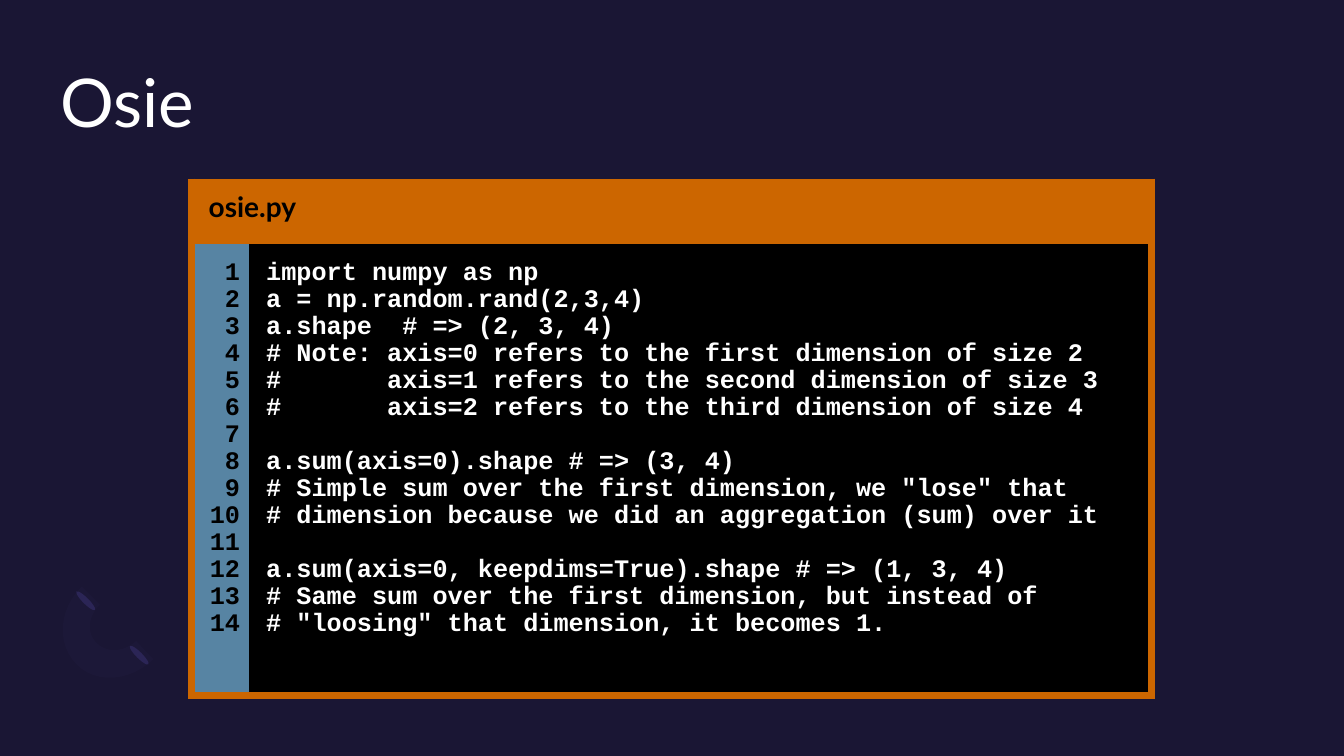
from dataclasses import dataclass
from lxml.etree import SubElement
from pptx import Presentation
from pptx.dml.color import RGBColor
from pptx.enum.shapes import MSO_SHAPE
from pptx.enum.text import MSO_ANCHOR, PP_ALIGN
from pptx.oxml import parse_xml
from pptx.oxml.ns import nsdecls, qn
from pptx.util import Inches, Pt


@dataclass(frozen=True)
class Theme:
    back: str = "1A1634"
    leaf: str = "292353"
    arc: str = "7266BE"
    frame: str = "CC6600"
    gutter: str = "5784A3"
    dark: str = "000000"
    light: str = "FFFFFF"
    sans: str = "Lato"
    mono: str = "Courier New"
    title: int = 48
    label: int = 20
    code: int = 18
    border: int = 6
    lead: float = 0.77
    gap: float = 3.6
    skip: float = 19.3  # height of one line of code


class Page:
    """Places elements on one slide; lengths are percent of its size."""

    def __init__(self, theme):
        self.theme = theme
        self.deck = Presentation()
        self.deck.slide_width = Inches(13.33)
        self.deck.slide_height = Inches(7.5)
        self.slide = self.deck.slides.add_slide(self.deck.slide_layouts[6])
        self.shapes = self.slide.shapes
        self.paint(self.slide.background.fill, theme.back)

    def across(self, share):
        return round(self.deck.slide_width * share / 100)

    def down(self, share):
        return round(self.deck.slide_height * share / 100)

    def box(self, x, y, w, h):
        return self.across(x), self.down(y), self.across(w), self.down(h)

    def paint(self, fill, color):
        fill.solid()
        fill.fore_color.rgb = RGBColor.from_string(color)

    def plain(self, shape, color):
        shape.shadow.inherit = False
        shape.line.fill.background()
        self.paint(shape.fill, color)

    def style(self, para, face, size, color, bold=False):
        for run in para.runs:
            font = run.font
            font.name, font.size, font.bold = face, Pt(size), bold
            font.color.rgb = RGBColor.from_string(color)

    def leaf(self, x, y):
        shape = self.shapes.add_shape(MSO_SHAPE.OVAL, *self.box(x, y, 0.45, 3.47))
        shape.rotation = 135
        self.plain(shape, self.theme.leaf)

    def outline(self, start, parts, color, alpha):
        """Each part is one end point, or two handles and an end point."""
        points, steps = [start], 12
        for part in parts:
            if len(part) == 1:
                points += part
                continue
            curve = (points[-1], *part)
            for step in range(1, steps + 1):
                t = step / steps
                mix = ((1 - t) ** 3, 3 * t * (1 - t) ** 2, 3 * t * t * (1 - t), t ** 3)
                points.append(tuple(sum(m * p[axis] for m, p in zip(mix, curve))
                                    for axis in (0, 1)))
        dots = [(self.across(x), self.down(y)) for x, y in points]
        form = self.shapes.build_freeform(*dots[0])
        form.add_line_segments(dots[1:])
        shape = form.convert_to_shape()
        self.plain(shape, color)
        tint = next(shape.element.spPr.iter(qn("a:srgbClr")))
        SubElement(tint, qn("a:alpha")).set("val", str(alpha * 1000))

    def title(self, text, *place):
        frame = self.shapes.add_textbox(*self.box(*place)).text_frame
        frame.word_wrap = True
        frame.margin_left = frame.margin_right = 0
        frame.margin_top = frame.margin_bottom = 0
        frame.text = text
        theme = self.theme
        self.style(frame.paragraphs[0], theme.sans, theme.title, theme.light)

    def grid(self, x, y, cols, rows):
        place = self.box(x, y, sum(cols), sum(rows))
        table = self.shapes.add_table(len(rows), len(cols), *place).table
        table.first_row = table.horz_banding = False
        for col, share in zip(table.columns, cols):
            col.width = self.across(share)
        for row, share in zip(table.rows, rows):
            row.height = self.down(share)
        return table

    def cell(self, cell, fill, edges, pads):
        """Edges names the sides that have a border: L, R, T, B."""
        self.paint(cell.fill, fill)
        cell.vertical_anchor = MSO_ANCHOR.TOP
        cell.margin_left, cell.margin_top, cell.margin_right, cell.margin_bottom = (
            Inches(pad) for pad in pads)
        props = cell._tc.get_or_add_tcPr()
        for spot, side in enumerate("LRTB"):
            ink = "<a:noFill/>"
            if side in edges:
                ink = f'<a:solidFill><a:srgbClr val="{self.theme.frame}"/></a:solidFill>'
            props.insert(spot, parse_xml(
                f'<a:ln{side} {nsdecls("a")} w="{Pt(self.theme.border)}">{ink}</a:ln{side}>'))

    def words(self, cell, lines, face, size, color, lead, align=PP_ALIGN.LEFT):
        """An empty line becomes extra space above the next one."""
        frame, theme, above = cell.text_frame, self.theme, 0
        para = frame.paragraphs[0]
        for line in lines:
            if not line:
                above += theme.skip
                continue
            if para.text:
                para = frame.add_paragraph()
            para.text = line
            para.alignment, para.line_spacing = align, lead
            para.space_before = Pt(theme.gap + above)
            para._p.get_or_add_pPr().set("marL", str(Inches(0.12)))
            self.style(para, face, size, color, True)
            above = 0

    def listing(self, name, code):
        theme = self.theme
        table = self.grid(14.25, 24.13, (4.28, 67.14), (7.6, 60.27))
        head, tail = table.cell(0, 0), table.cell(0, 1)
        head.merge(tail)
        for part in (head, tail):
            self.cell(part, theme.frame, "LRTB", (0.05,) * 4)
        self.words(head, [name], theme.sans, theme.label, theme.dark, 1.07)
        side, body = table.cell(1, 0), table.cell(1, 1)
        self.cell(side, theme.gutter, "LTB", (0.05, 0.23, 0.09, 0.23))
        self.cell(body, theme.dark, "RTB", (0.05, 0.23, 0.18, 0.23))
        lines = code.splitlines()
        count = [str(i) for i in range(1, len(lines) + 1)]
        look = theme.mono, theme.code
        self.words(side, count, *look, theme.dark, theme.lead, PP_ALIGN.RIGHT)
        self.words(body, lines, *look, theme.light, theme.lead)


CODE = """\
import numpy as np
a = np.random.rand(2,3,4)
a.shape  # => (2, 3, 4)
# Note: axis=0 refers to the first dimension of size 2
#       axis=1 refers to the second dimension of size 3
#       axis=2 refers to the third dimension of size 4

a.sum(axis=0).shape # => (3, 4)
# Simple sum over the first dimension, we "lose" that
# dimension because we did an aggregation (sum) over it

a.sum(axis=0, keepdims=True).shape # => (1, 3, 4)
# Same sum over the first dimension, but instead of
# "loosing" that dimension, it becomes 1."""

ARC = [
    [(4.2, 85.2), (4.35, 80.67), (6.08, 77.6)],
    [(7.43, 80)],
    [(6.53, 81.47), (6.45, 83.87), (7.2, 85.07)],
    [(7.95, 86.4), (9.23, 86.27), (10.13, 84.8)],
    [(11.4, 87.2)],
    [(9.75, 90.13), (7.13, 90.53), (5.7, 87.87)],
]


def main():
    page = Page(Theme())
    # Corner ornament
    page.leaf(10.13, 84.93)
    page.leaf(6.15, 77.73)
    page.outline((5.7, 87.87), ARC, page.theme.arc, 3)
    # Title and code listing
    page.title("Osie", 4.5, 8, 91, 19.47)
    page.listing("osie.py", CODE)
    page.deck.save("out.pptx")


if __name__ == "__main__":
    main()
